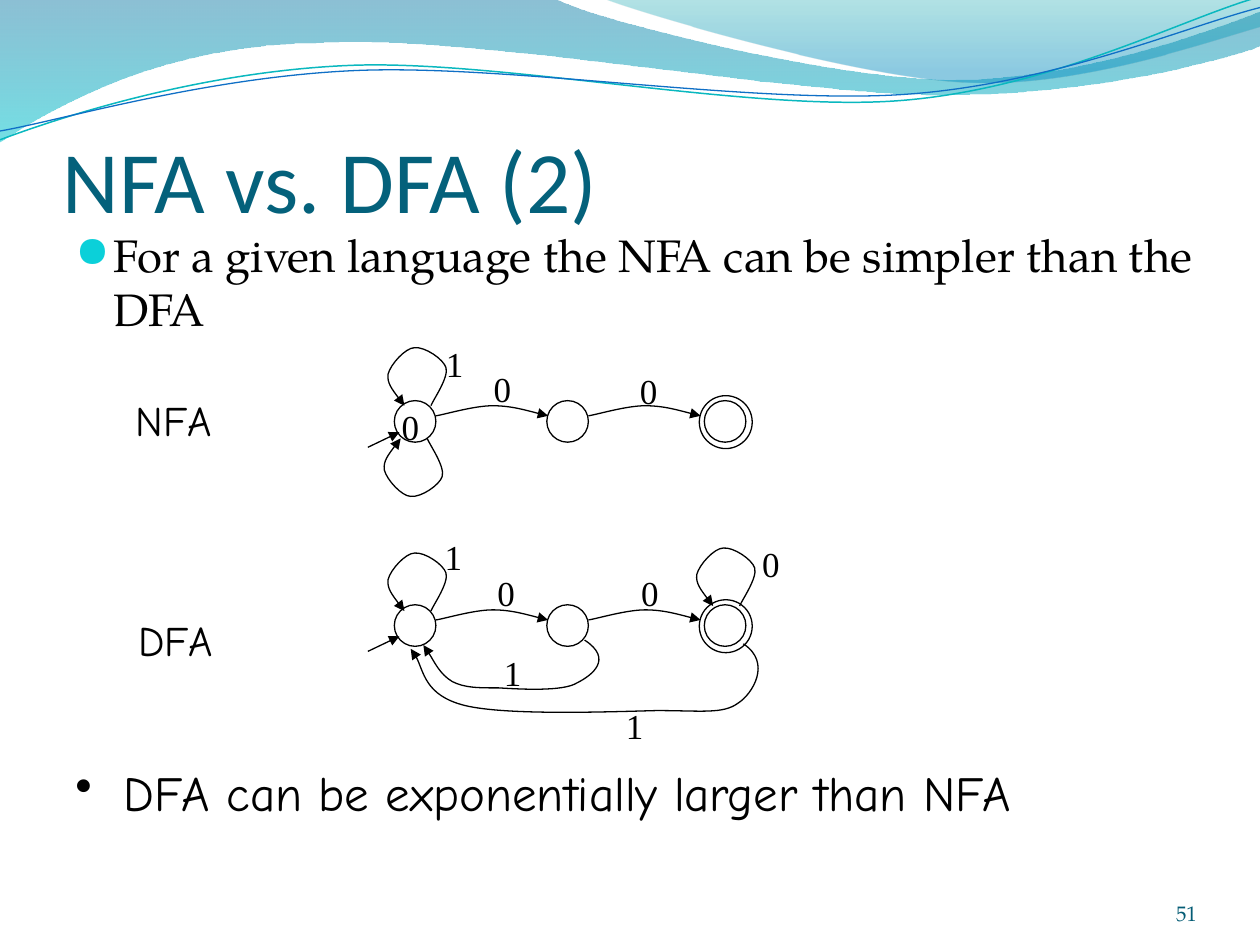
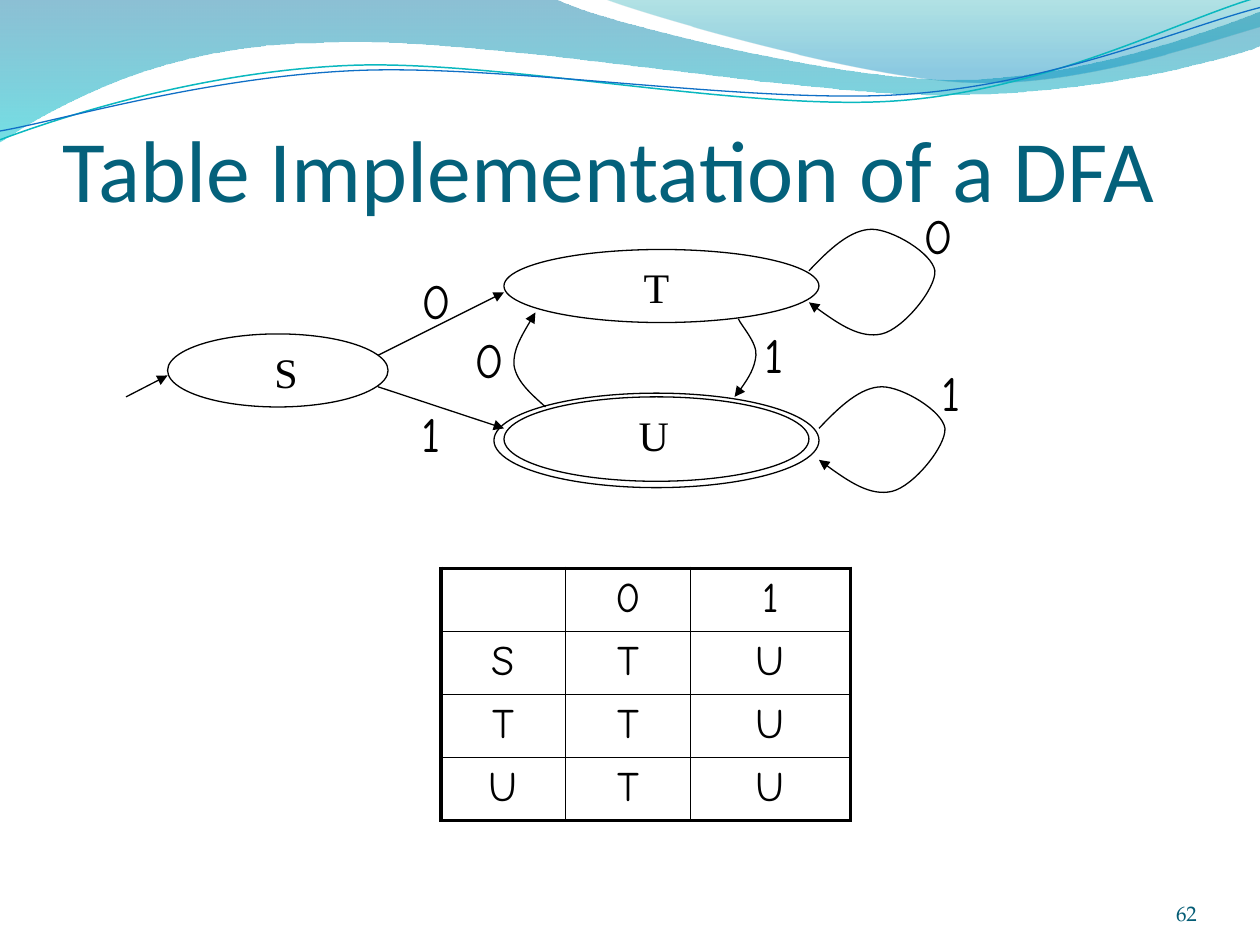
"""Build two slides on finite automata: NFA vs. DFA, and a DFA as a table."""
from lxml.etree import SubElement
from pptx import Presentation
from pptx.dml.color import RGBColor
from pptx.enum.shapes import MSO_CONNECTOR, MSO_SHAPE
from pptx.enum.text import MSO_ANCHOR, PP_ALIGN
from pptx.oxml.ns import qn
from pptx.util import Inches, Pt

OVAL = MSO_SHAPE.OVAL
LINE = MSO_CONNECTOR.STRAIGHT
TOP, BOTTOM = MSO_ANCHOR.TOP, MSO_ANCHOR.BOTTOM
LEFT, CENTER, RIGHT = PP_ALIGN.LEFT, PP_ALIGN.CENTER, PP_ALIGN.RIGHT

BLACK = RGBColor(0x00, 0x00, 0x00)
TITLE = RGBColor(0x04, 0x61, 0x7B)
NUMBER = RGBColor(0x04, 0x5C, 0x75)
BULLET = RGBColor(0x0B, 0xD0, 0xD9)
TEAL = RGBColor(0x0A, 0xB8, 0xBF)
BLUE = RGBColor(0x0F, 0x6F, 0xC6)
DEEP = RGBColor(0x00, 0x74, 0xA1)
AQUA = RGBColor(0x00, 0xC6, 0xCF)
SEA = RGBColor(0x00, 0xA1, 0xA9)
SKY = RGBColor(0x00, 0x8B, 0xBF)

SANS, SERIF, ROMAN, COMIC = "Calibri", "TeX Gyre Pagella", "Times New Roman", "Comic Neue"


def text(slide, at, words, font, size, color=BLACK, wrap=True,
         align=LEFT, anchor=TOP, inset=(0.1, 0.05, 0.1, 0.05)):
    """Add a text box with one run and return its paragraph."""
    frame = slide.shapes.add_textbox(*map(Inches, at)).text_frame
    frame.word_wrap = wrap
    frame.vertical_anchor = anchor
    (frame.margin_left, frame.margin_top,
     frame.margin_right, frame.margin_bottom) = map(Inches, inset)
    para = frame.paragraphs[0]
    para.alignment = align
    run = para.add_run()
    run.text = words
    run.font.name, run.font.size, run.font.color.rgb = font, Pt(size), color
    return para


def curve(slide, path, dx=0, dy=0, flip=1):
    """Draw a start point followed by lines (2 numbers) and Bezier curves (6 numbers)."""
    spots = [(Inches(dx + x), Inches(dy + flip * y))
             for part in path for x, y in zip(part[::2], part[1::2])]
    maker = slide.shapes.build_freeform(*spots[0], scale=1.0)
    maker.add_line_segments(spots[1:], close=False)
    shape = maker.convert_to_shape()
    shape.shadow.inherit = False
    shape.fill.background()
    steps = iter(list(shape._element.iter(qn("a:lnTo"))))
    for part in path[1:]:
        step = next(steps)
        if len(part) == 6:
            outline = step.getparent()
            bend = SubElement(outline, qn("a:cubicBezTo"))
            step.addprevious(bend)
            for old in (step, next(steps), next(steps)):
                bend.append(old[0])
                outline.remove(old)
    return shape


prs = Presentation()
prs.slide_width, prs.slide_height = Inches(10), Inches(7.5)

WAVES = [
    ([(0, -0.01), (4.4, -0.01), (4.76, 0.17, 6.64, 0.63, 7.58, 0.63),
      (8.53, 0.63, 9.58, 0.26, 10, 0.09), (10.01, 0.36),
      (9.83, 0.44, 8.7, 0.76, 7.46, 0.75), (6.22, 0.75, 3.82, 0.28, 2.57, 0.34),
      (1.29, 0.35, 0.46, 0.83, -0.01, 1.13), (0, -0.01)],
     [(0, DEEP, 45), (1, AQUA, 55)]),
    ([(4.79, -0.01), (5.09, 0.11, 6.82, 0.62, 7.69, 0.65),
      (8.56, 0.69, 9.61, 0.32, 10, 0.21), (10, 0), (4.79, -0.01)],
     [(0, SEA, 30), (0.8, SKY, 45)]),
]
STRANDS = [
    ([(0, 1.11), (0.48, 0.93, 1.58, 0.57, 2.77, 0.52),
      (3.95, 0.47, 5.93, 0.89, 7.13, 0.8), (8.33, 0.71, 9.38, 0.15, 9.98, -0.02)],
     TEAL, 0.85),
    ([(0, 1.04), (0.47, 0.96, 1.64, 0.61, 2.83, 0.56),
      (4.03, 0.51, 5.97, 0.83, 7.17, 0.75), (8.36, 0.67, 9.41, 0.21, 10, 0.06)],
     BLUE, 0.75),
]

slides = []
for title, top, number in (("NFA vs. DFA (2)", 0.58, "51"),
                           ("Table Implementation of a DFA", 0.5, "62")):
    slide = prs.slides.add_slide(prs.slide_layouts[6])
    slides.append(slide)
    for path, stops in WAVES:
        wave = curve(slide, path)
        wave.line.fill.background()
        wave.fill.gradient()
        wave.fill.gradient_angle = 270
        for stop, (place, color, alpha) in zip(wave.fill.gradient_stops, stops):
            stop.position, stop.color.rgb = place, color
            tint = stop._gs.find(qn("a:srgbClr"))
            SubElement(tint, qn("a:alpha"), val=str(alpha * 1000))
    for path, color, width in STRANDS:
        strand = curve(slide, path)
        strand.line.color.rgb, strand.line.width = color, Pt(width)
    text(slide, (8.67, 6.95, 0.83, 0.4), number, SERIF, 12, NUMBER,
         align=RIGHT, anchor=BOTTOM, inset=(0, 0, 0, 0))
    text(slide, (0.5, top, 9, 1.25), title, SANS, 50, TITLE,
         anchor=BOTTOM, inset=(0, 0.05, 0, 0))
versus, table = slides

for at, words, font, size, indent, mark, color, scale in (
        ((0.5, 1.75, 9.08, 1), "For a given language the NFA can be simpler than the DFA",
         SERIF, 26, 0.3, "●", BULLET, 95),
        ((0.5, 6, 9.08, 0.67), "DFA can be exponentially larger than NFA",
         COMIC, 28, 0.38, "•", BLACK, 100)):
    para = text(versus, at, words, font, size)
    para.space_before = Pt(size * 0.2)
    props = para._p.get_or_add_pPr()
    props.set("marL", str(Inches(indent)))
    props.set("indent", str(-Inches(indent)))
    SubElement(SubElement(props, qn("a:buClr")), qn("a:srgbClr"), val=str(color))
    SubElement(props, qn("a:buSzPct"), val=str(scale * 1000))
    SubElement(props, qn("a:buChar"), char=mark)

ovals = [(table, 1.33, 2.65, 1.75, 0.58), (table, 4, 1.98, 2.5, 0.58),
         (table, 4, 3.15, 2.42, 0.67), (table, 3.92, 3.12, 2.58, 0.75)]
lines = [(table, 1, 3.15, 1.33, 2.98), (table, 3, 2.82, 4, 2.32),
         (table, 3, 3.07, 4, 3.4)]
arrows = []

HOP = [(0, 0), (0.07, -0.01, 0.3, -0.08, 0.45, -0.08), (0.6, -0.08, 0.8, -0.02, 0.89, 0)]
LOOP = [(0.35, 0.47), (0.37, 0.42, 0.49, 0.25, 0.47, 0.17),
        (0.45, 0.1, 0.3, 0, 0.22, 0.01), (0.15, 0.01, 0.03, 0.14, 0.01, 0.22),
        (0, 0.29, 0.07, 0.38, 0.14, 0.47)]
for y in (3.18, 4.8):
    ovals += [(versus, x, y, 0.33, 0.33) for x in (3.13, 4.34, 5.59)]
    ovals.append((versus, 5.55, y - 0.04, 0.42, 0.42))
    lines.append((versus, 2.92, y + 0.37, 3.17, y + 0.25))
    arrows += [curve(versus, HOP, x, y + 0.12) for x in (3.46, 4.67)]
for x, y, flip in ((3.07, 2.75, 1), (3.04, 3.95, -1), (3.07, 4.38, 1), (5.52, 4.34, 1)):
    arrows.append(curve(versus, LOOP, x, y, flip))

BACK = [(4.64, 5.08), (4.87, 5.23, 4.7, 5.36, 4.58, 5.42),
        (4.47, 5.49, 4.13, 5.47, 3.96, 5.46), (3.79, 5.46, 3.69, 5.46, 3.59, 5.41),
        (3.49, 5.35, 3.41, 5.18, 3.36, 5.12)]
RESET = [(5.9, 5.11), (6.13, 5.26, 5.97, 5.51, 5.86, 5.58),
         (5.74, 5.67, 5.57, 5.64, 5.21, 5.64), (4.84, 5.65, 4.02, 5.68, 3.69, 5.6),
         (3.37, 5.52, 3.35, 5.24, 3.26, 5.15)]
arrows += [curve(versus, path) for path in (BACK, RESET)]

RING = [(0, 0), (0.16, -0.17, 0.33, -0.33, 0.5, -0.33),
        (0.66, -0.33, 0.98, -0.14, 1, 0), (1.01, 0.14, 0.75, 0.46, 0.58, 0.5),
        (0.41, 0.54, 0.2, 0.4, 0, 0.25)]
arrows += [curve(table, RING, x, y) for x, y in ((6.42, 2.15), (6.5, 3.4))]
RISE = [(4.33, 3.23), (4.22, 3.13, 4.1, 3.03, 4.08, 2.9), (4.07, 2.78, 4.16, 2.63, 4.25, 2.48)]
FALL = [(5.86, 2.53), (5.88, 2.58, 6.01, 2.72, 6, 2.82), (5.99, 2.92, 5.92, 3.04, 5.83, 3.15)]
arrows += [curve(table, path) for path in (RISE, FALL)]

for slide, *at in ovals:
    oval = slide.shapes.add_shape(OVAL, *map(Inches, at))
    oval.shadow.inherit = False
    oval.fill.background()
    oval.line.color.rgb, oval.line.width = BLACK, Pt(0.75)
for slide, *ends in lines:
    link = slide.shapes.add_connector(LINE, *map(Inches, ends))
    SubElement(link._element.spPr, qn("a:effectLst"))
    arrows.append(link)
for arrow in arrows:
    arrow.line.color.rgb, arrow.line.width = BLACK, Pt(0.75)
    SubElement(arrow.line._get_or_add_ln(), qn("a:tailEnd"), type="triangle")

for x, y, sign in ((3.82, 2.87, "0"), (3.44, 2.67, "1"), (4.98, 2.88, "0"),
                   (3.09, 3.17, "0"), (3.85, 4.49, "0"), (3.43, 4.2, "1"),
                   (4.99, 4.49, "0"), (3.9, 5.12, "1"), (5.95, 4.26, "0"),
                   (4.87, 5.54, "1")):
    text(versus, (x, y, 0.34, 0.43), sign, ROMAN, 20, wrap=False)
for x, y, width, name in ((0.98, 3.08, 0.91, "NFA"), (1, 4.83, 0.89, "DFA")):
    text(versus, (x, y, width, 0.5), name, COMIC, 24, wrap=False)
for x, y, width, state in ((2.08, 2.7, 0.39, "S"), (5.01, 2.03, 0.4, "T"),
                           (4.97, 3.2, 0.44, "U")):
    text(table, (x, y, width, 0.5), state, ROMAN, 24, wrap=False)
for x, y, sign in ((3.25, 2.1, "0"), (3.25, 3.15, "1"), (7.23, 1.58, "0"),
                   (7.37, 2.83, "1"), (3.67, 2.57, "0"), (5.97, 2.53, "1")):
    text(table, (x, y, 0.44 if sign == "0" else 0.38, 0.57), sign, COMIC, 28, wrap=False)

ROWS = ["", "0", "1"], ["S", "T", "U"], ["T", "T", "U"], ["U", "T", "U"]
grid = table.shapes.add_table(4, 3, Inches(3.5), Inches(4.51), Inches(3.25), Inches(2)).table
grid.first_row = grid.horz_banding = False
for col, width in zip(grid.columns, (0.99, 0.99, 1.27)):
    col.width = Inches(width)
for r, row in enumerate(ROWS):
    grid.rows[r].height = Inches(0.5)
    for c, words in enumerate(row):
        cell = grid.cell(r, c)
        props = cell._tc.get_or_add_tcPr()
        for side, outer in (("L", c == 0), ("R", c == 2), ("T", r == 0), ("B", r == 3)):
            edge = SubElement(props, qn("a:ln" + side), w=str(Pt(2.25 if outer else 1)))
            SubElement(SubElement(edge, qn("a:solidFill")), qn("a:srgbClr"), val=str(BLACK))
        cell.fill.background()
        if words:
            para = cell.text_frame.paragraphs[0]
            para.alignment, para.space_before = CENTER, Pt(4.8)
            run = para.add_run()
            run.text = words
            run.font.name, run.font.size, run.font.color.rgb = COMIC, Pt(24), BLACK

prs.save("out.pptx")
